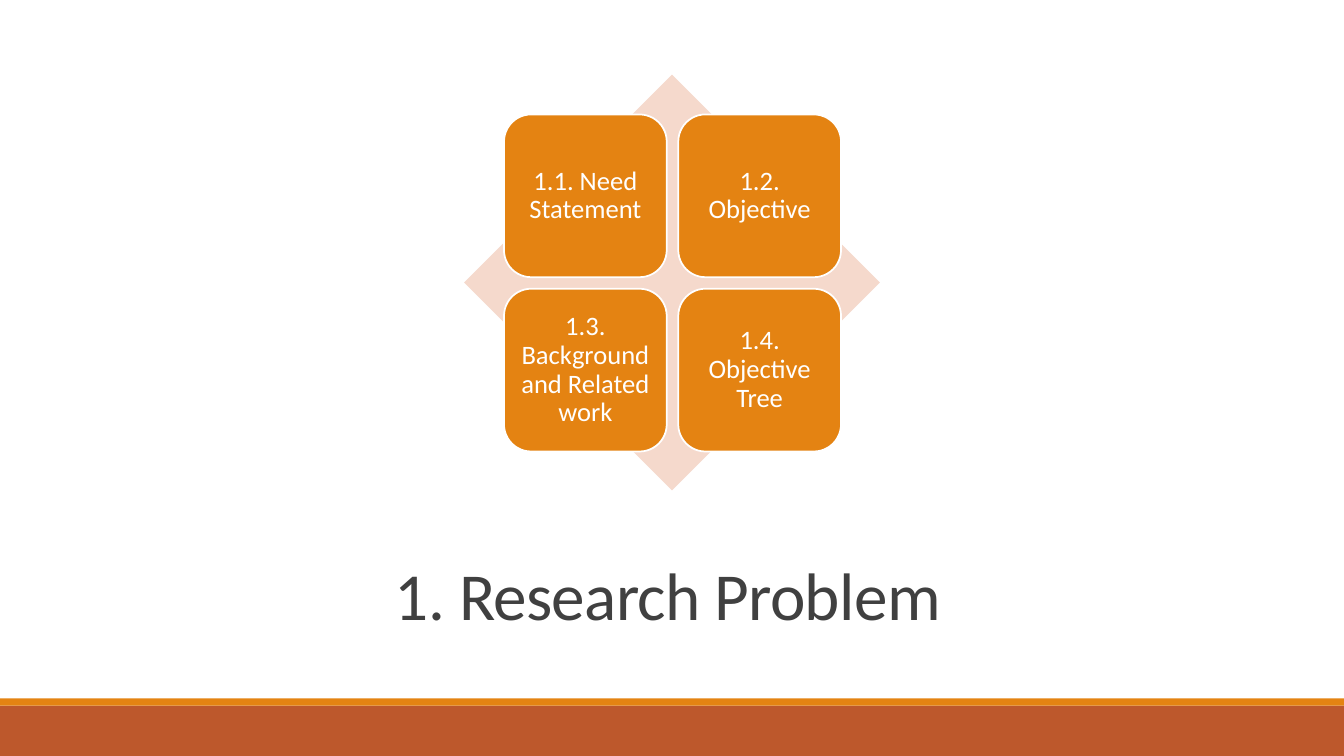
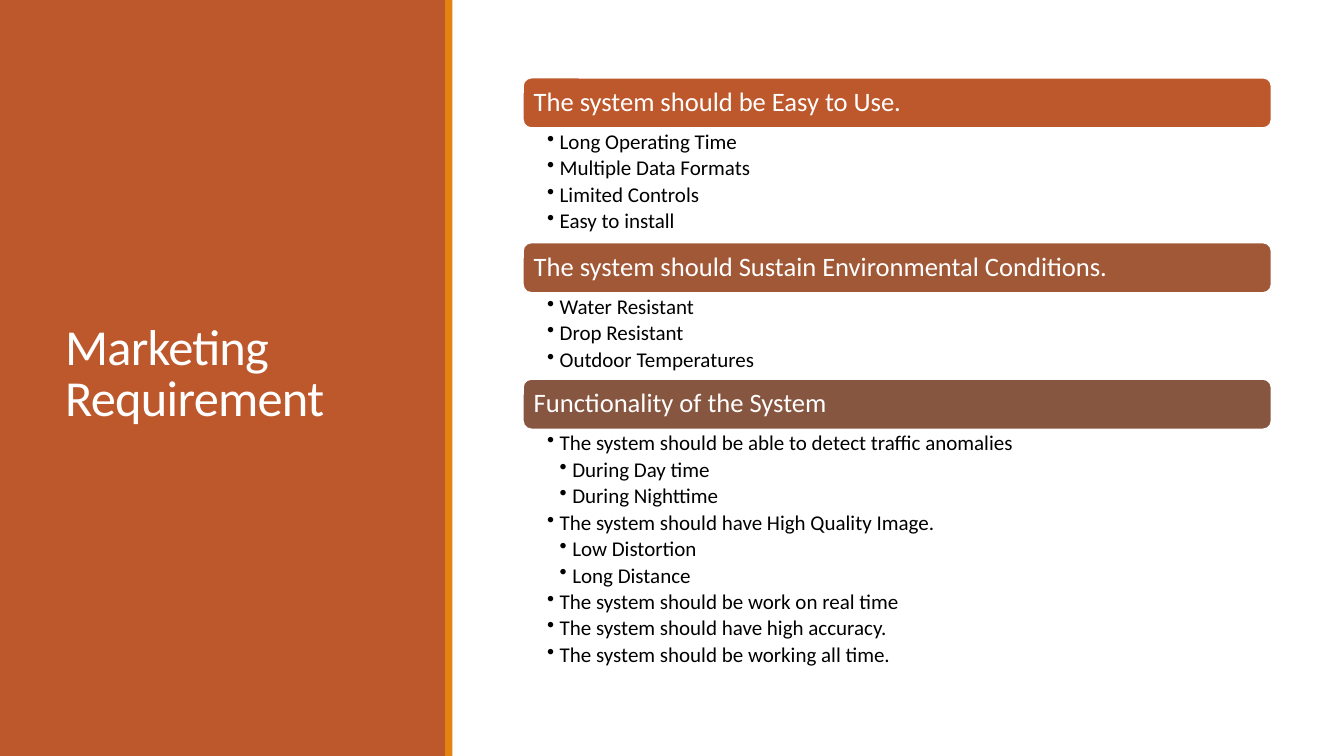
from lxml.etree import SubElement
from pptx import Presentation
from pptx.dml.color import RGBColor
from pptx.enum.shapes import MSO_SHAPE
from pptx.enum.text import MSO_ANCHOR, PP_ALIGN
from pptx.oxml.ns import qn
from pptx.util import Pt

EMU_PER_PX = 9525
WIDTH, HEIGHT = 1280, 720
FONT = "Calibri"
COLORS = {
    "white": "FFFFFF",
    "black": "000000",
    "title": "404040",
    "rust": "BD582C",
    "orange": "E48312",
    "blush": "F5D9CC",
    "sienna": "A05837",
    "brown": "865640",
}

TOPICS = [
    "1.1. Need Statement",
    "1.2. Objective",
    "1.3. Background and Related work",
    "1.4. Objective Tree",
]

# Each requirement: heading, heading colour, bullets as (level, text).
REQUIREMENTS = [
    ("The system should be Easy to Use.", "rust", [
        (1, "Long Operating Time"),
        (1, "Multiple Data Formats"),
        (1, "Limited Controls"),
        (1, "Easy to install"),
    ]),
    ("The system should Sustain Environmental Conditions.", "sienna", [
        (1, "Water Resistant"),
        (1, "Drop Resistant"),
        (1, "Outdoor Temperatures"),
    ]),
    ("Functionality of the System", "brown", [
        (1, "The system should be able to detect traffic anomalies"),
        (2, "During Day time"),
        (2, "During Nighttime"),
        (1, "The system should have High Quality Image."),
        (2, "Low Distortion"),
        (2, "Long Distance"),
        (1, "The system should be work on real time"),
        (1, "The system should have high accuracy."),
        (1, "The system should be working all time."),
    ]),
]


def px(length):
    return length * EMU_PER_PX


def color(name):
    return RGBColor.from_string(COLORS[name])


class SlideBuilder:
    """Holds the deck, its style and the slide being filled."""

    def __init__(self):
        self.deck = Presentation()
        self.deck.slide_width = px(WIDTH)
        self.deck.slide_height = px(HEIGHT)
        self.slide = None

    def new_slide(self):
        self.slide = self.deck.slides.add_slide(self.deck.slide_layouts[6])

    def shape(self, kind, area, fill, outline=None):
        shape = self.slide.shapes.add_shape(kind, *map(px, area))
        shape.shadow.inherit = False
        shape.fill.solid()
        shape.fill.fore_color.rgb = color(fill)
        if outline:
            shape.line.color.rgb = color(outline)
            shape.line.width = Pt(1.25)
        else:
            shape.line.fill.background()
        return shape

    def bands(self, panel, accent):
        """Draw the rust panel and the thin orange strip on its edge."""
        self.shape(MSO_SHAPE.RECTANGLE, panel, "rust")
        self.shape(MSO_SHAPE.RECTANGLE, accent, "orange")

    def frame(self, box, insets, anchor):
        """Prepare a text frame; insets are left, top, right, bottom."""
        frame = box.text_frame
        frame.word_wrap = True
        frame.vertical_anchor = anchor
        (frame.margin_left, frame.margin_top,
         frame.margin_right, frame.margin_bottom) = map(px, insets)
        return frame

    def set_text(self, para, text, size, ink, align=PP_ALIGN.LEFT, spacing=0.9):
        para.text = text
        para.alignment = align
        para.line_spacing = spacing
        span = para.runs[0]
        span.font.name = FONT
        span.font.size = Pt(size)
        span.font.color.rgb = color(ink)
        return span

    def title(self, text, area, size, ink, align=PP_ALIGN.LEFT):
        box = self.slide.shapes.add_textbox(*map(px, area))
        frame = self.frame(box, (10, 5, 10, 5), MSO_ANCHOR.MIDDLE)
        span = self.set_text(frame.paragraphs[0], text, size, ink, align, 0.85)
        span._r.get_or_add_rPr().set("spc", "-50")

    def card(self, text, area, fill, align=PP_ALIGN.LEFT):
        """Draw a rounded, white-edged box with its label inside."""
        card = self.shape(MSO_SHAPE.ROUNDED_RECTANGLE, area, fill, "white")
        frame = self.frame(card, (8, 8, 8, 8), MSO_ANCHOR.MIDDLE)
        self.set_text(frame.paragraphs[0], text, 19, "white", align)

    def bullets(self, items, area):
        box = self.slide.shapes.add_textbox(*map(px, area))
        frame = self.frame(box, (23, 3, 14, 3), MSO_ANCHOR.TOP)
        for index, (level, text) in enumerate(items):
            para = frame.add_paragraph() if index else frame.paragraphs[0]
            self.set_text(para, text, 15, "black")
            para.level = level
            para.space_before = Pt(0)
            para.space_after = Pt(2.7)
            properties = para._p.get_or_add_pPr()
            properties.set("marL", str(px(12 * level)))
            properties.set("indent", str(px(-12)))
            SubElement(properties, qn("a:buChar"), char="•")


def add_research_problem(builder):
    builder.new_slide()
    builder.bands((0, 672, WIDTH, 48), (0, 665, WIDTH, 7))
    builder.title("1. Research Problem", (108, 509, 1056, 125), 48, "title",
                  PP_ALIGN.CENTER)
    builder.shape(MSO_SHAPE.DIAMOND, (442, 71, 396, 396), "blush")
    side, step = 155, 166
    for index, topic in enumerate(TOPICS):
        row, column = divmod(index, 2)
        area = (480 + column * step, 109 + row * step, side, side)
        builder.card(topic, area, "orange", PP_ALIGN.CENTER)


def add_marketing_requirement(builder):
    builder.new_slide()
    builder.bands((0, 0, 425, HEIGHT), (424, 0, 7, HEIGHT))
    builder.title("Marketing Requirement", (52, 55, 324, 606), 36, "white")
    left, top, width = 498, 74, 713
    heading_height, item_height = 48, 27
    for heading, fill, items in REQUIREMENTS:
        builder.card(heading, (left, top, width, heading_height), fill)
        top += heading_height
        list_height = item_height * len(items) + 1
        builder.bullets(items, (left, top, width, list_height))
        top += list_height


def main():
    builder = SlideBuilder()
    add_research_problem(builder)
    add_marketing_requirement(builder)
    builder.deck.save("out.pptx")


if __name__ == "__main__":
    main()
